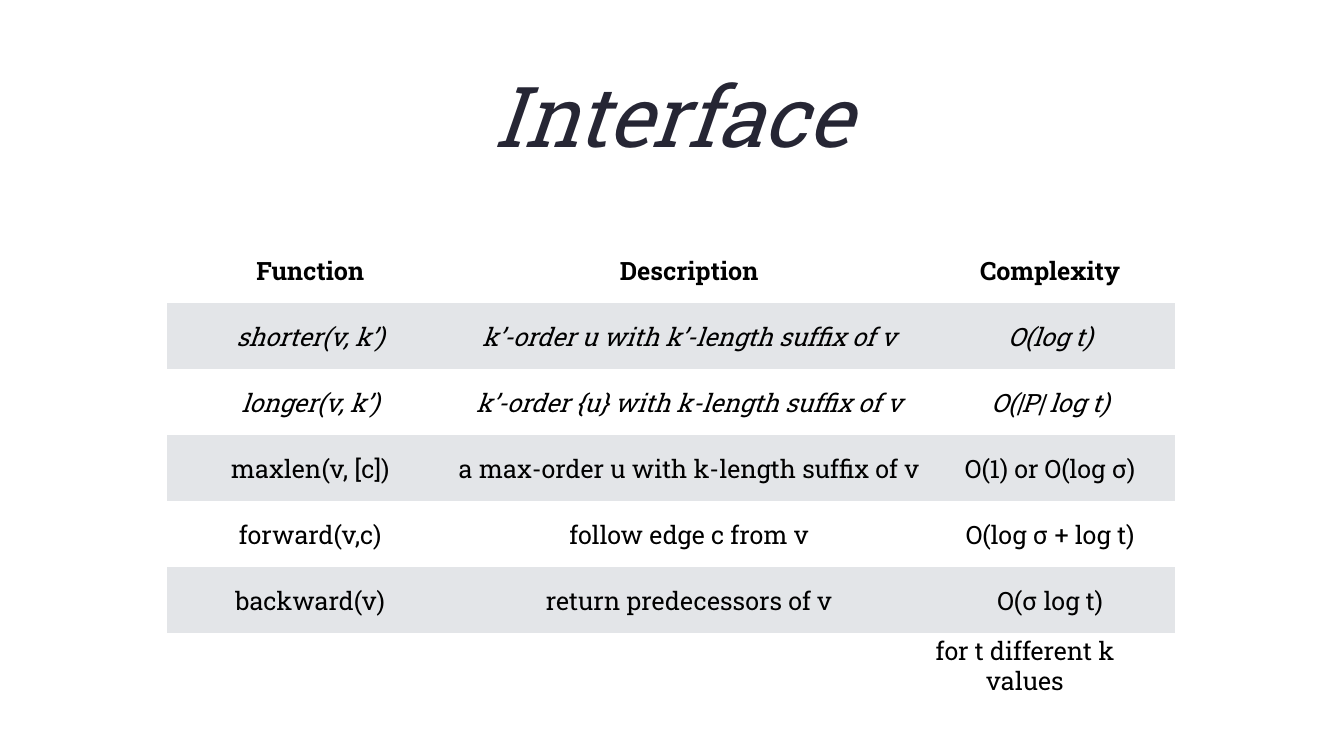
from pptx import Presentation
from pptx.dml.color import RGBColor
from pptx.enum.text import MSO_ANCHOR, PP_ALIGN
from pptx.oxml.ns import qn
from pptx.util import Pt

EMU_PER_PX = 9144  # 100 px to the inch
MIDDLE = MSO_ANCHOR.MIDDLE
CENTER = PP_ALIGN.CENTER

INK = RGBColor(0x26, 0x26, 0x34)
BLACK = RGBColor(0x00, 0x00, 0x00)
WHITE = RGBColor(0xFF, 0xFF, 0xFF)
BAND = RGBColor(0xE3, 0xE5, 0xE8)

PLAIN_TABLE_STYLE = "{2D5ABB26-0587-4C30-8999-92F81FD0307C}"  # no style, no grid

HEADER = ("Function", "Description", "Complexity")
FUNCTIONS = [
    ("shorter(v, k’)", "k’-order u with k’-length suffix of v", "O(log t)"),
    ("longer(v, k’)", "k’-order {u} with k-length suffix of v", "O(|P| log t)"),
    ("maxlen(v, [c])", "a max-order u with k-length suffix of v", "O(1) or O(log σ)"),
    ("forward(v,c)", "follow edge c from v", "O(log σ + log t)"),
    ("backward(v)", "return predecessors of v", "O(σ log t)"),
]
ITALIC_ROWS = (1, 2)


def px(length):
    return length * EMU_PER_PX


class SlideBuilder:
    font = "Roboto Slab"
    body_size = 36

    def __init__(self, slide):
        self.slide = slide

    def add_span(self, frame, text, size=body_size, color=BLACK, bold=False, italic=False):
        para = frame.paragraphs[0]
        para.alignment = CENTER
        span = para.add_run()
        span.text = text
        font = span.font
        font.name, font.size = self.font, Pt(size)
        font.bold, font.italic = bold, italic
        font.color.rgb = color

    def set_margins(self, target, margin):
        target.margin_left = target.margin_right = px(margin)
        target.margin_top = target.margin_bottom = px(margin)

    def add_text(self, left, top, width, height, text, **style):
        box = self.slide.shapes.add_textbox(px(left), px(top), px(width), px(height))
        frame = box.text_frame
        frame.word_wrap = True
        frame.vertical_anchor = MIDDLE
        self.set_margins(frame, 8)
        self.add_span(frame, text, **style)

    def add_table(self, left, top, widths, row_height, rows, italic_rows):
        frame = self.slide.shapes.add_table(
            len(rows), len(widths), px(left), px(top),
            px(sum(widths)), px(row_height * len(rows)))
        table = frame.table
        table._tbl.tblPr.find(qn("a:tableStyleId")).text = PLAIN_TABLE_STYLE
        for column, width in zip(table.columns, widths):
            column.width = px(width)
        for r, texts in enumerate(rows):
            table.rows[r].height = px(row_height)
            for c, text in enumerate(texts):
                cell = table.cell(r, c)
                cell.fill.solid()
                cell.fill.fore_color.rgb = BAND if r % 2 else WHITE
                cell.vertical_anchor = MIDDLE
                self.set_margins(cell, 6)
                self.add_span(cell.text_frame, text, bold=r == 0, italic=r in italic_rows)


def main():
    deck = Presentation()
    deck.slide_width, deck.slide_height = px(2667), px(1500)
    page = SlideBuilder(deck.slides.add_slide(deck.slide_layouts[6]))

    # Title
    page.add_text(529, 39, 1609, 375, "Interface", size=120, color=INK, italic=True)

    # Function table
    page.add_table(332, 471, (567, 937, 496), 131, [HEADER, *FUNCTIONS], ITALIC_ROWS)

    # Note under the complexity column
    page.add_text(1834, 1285, 400, 71, "for t different k values")

    deck.save("out.pptx")


if __name__ == "__main__":
    main()
